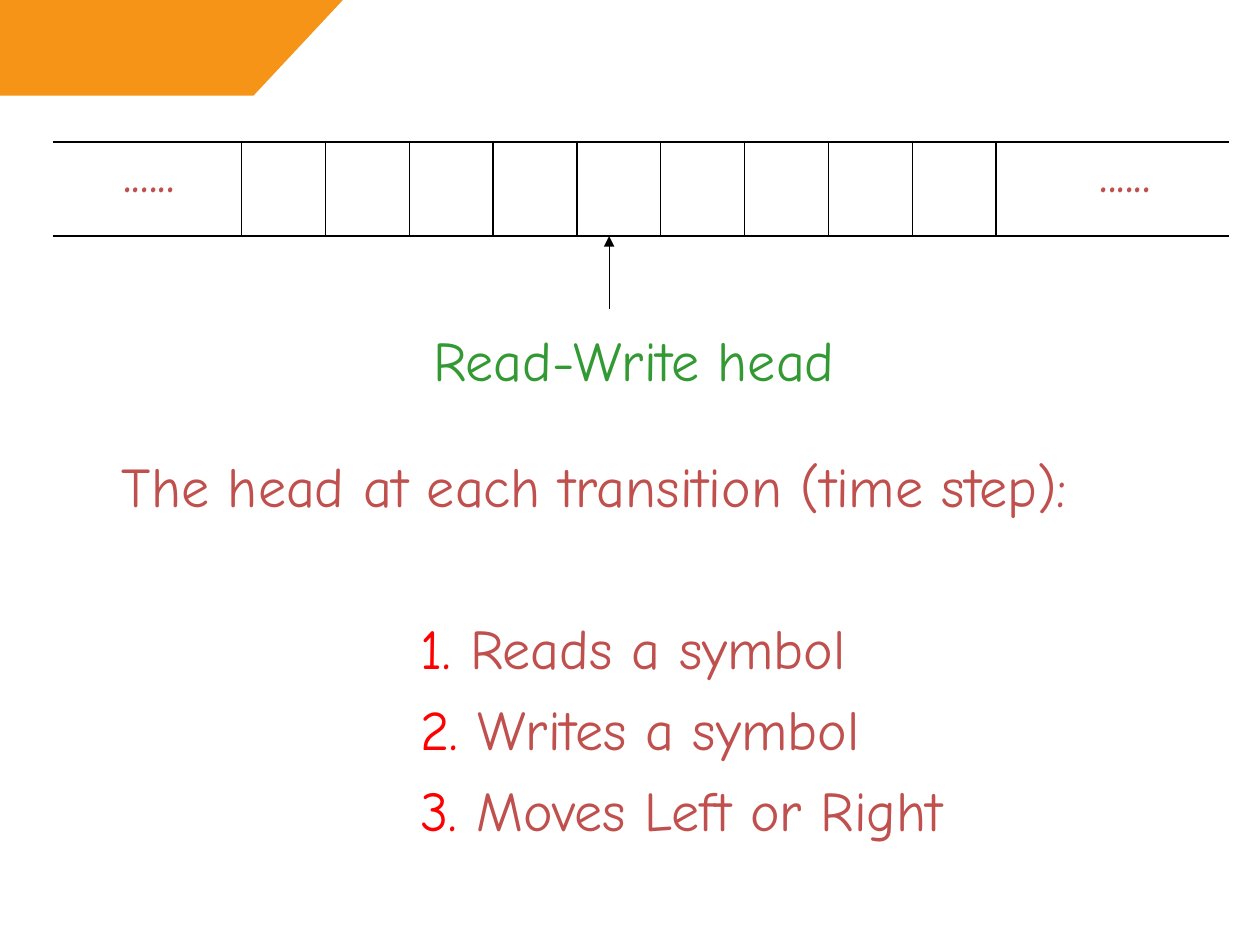
from dataclasses import dataclass

from lxml import etree
from pptx import Presentation
from pptx.dml.color import RGBColor
from pptx.enum.shapes import MSO_CONNECTOR
from pptx.enum.text import MSO_AUTO_SIZE
from pptx.oxml.ns import qn
from pptx.util import Cm, Pt

STRAIGHT = MSO_CONNECTOR.STRAIGHT
FIT_SHAPE = MSO_AUTO_SIZE.SHAPE_TO_FIT_TEXT

BLACK = RGBColor(0x00, 0x00, 0x00)
ORANGE = RGBColor(0xF6, 0x94, 0x18)
BRICK = RGBColor(0xC0, 0x50, 0x4D)
GREEN = RGBColor(0x33, 0x99, 0x33)
RED = RGBColor(0xFF, 0x00, 0x00)
FONT = "Comic Neue"

# Tape geometry, in centimetres
TAPE_LEFT, TAPE_RIGHT = 1.06, 24.77
TAPE_TOP, TAPE_BOTTOM = 2.86, 4.76
FIRST_DIVIDER, CELL_WIDTH, DIVIDERS = 4.87, 1.69, 10
HEAD_X, HEAD_START = 12.28, 6.22

CORNER = [(-0.08, 1.93), (-0.06, -0.05), (6.96, -0.05), (5.11, 1.93)]


@dataclass
class Span:
    text: str
    color: RGBColor


@dataclass
class Para:
    spans: list[Span]
    space_before: float = 0
    indent: float = 0


@dataclass
class Label:
    left: float
    top: float
    width: float
    height: float
    paras: list[Para]


def step(number: int, action: str, space_before: float = 8) -> Para:
    """Numbered step, indented under the heading."""
    spans = [Span(f"{number}.", RED), Span(f" {action}", BRICK)]
    return Para(spans, space_before, 6.02)


def dots(left: float) -> Label:
    """Ellipsis marking that the tape goes on."""
    return Label(left, 2.62, 1.55, 1.63, [Para([Span("......", BRICK)])])


LABELS = [
    dots(21.92),
    dots(2.24),
    Label(8.48, 6.43, 8.69, 1.63, [Para([Span("Read-Write head", GREEN)])]),
    Label(2.21, 8.97, 19.63, 8.15, [
        Para([Span("The head at each transition (time step):", BRICK)]),
        step(1, "Reads a symbol", space_before=54.3),
        step(2, "Writes a symbol"),
        step(3, "Moves Left or Right"),
    ]),
]


def draw_corner(page) -> None:
    points = [(Cm(x), Cm(y)) for x, y in CORNER]
    builder = page.shapes.build_freeform(*points[0])
    builder.add_line_segments(points[1:], close=True)
    corner = builder.convert_to_shape()
    corner.shadow.inherit = False
    corner.fill.solid()
    corner.fill.fore_color.rgb = ORANGE
    corner.line.fill.background()


def draw_line(page, x1: float, y1: float, x2: float, y2: float,
              arrow: bool = False) -> None:
    line = page.shapes.add_connector(STRAIGHT, Cm(x1), Cm(y1), Cm(x2), Cm(y2))
    line.line.color.rgb = BLACK
    line.line.width = Pt(0.75)
    if arrow:
        outline = line.line._get_or_add_ln()
        etree.SubElement(outline, qn("a:tailEnd"), type="triangle")
    etree.SubElement(line._element.spPr, qn("a:effectLst"))


def draw_tape(page) -> None:
    for y in (TAPE_TOP, TAPE_BOTTOM):
        draw_line(page, TAPE_LEFT, y, TAPE_RIGHT, y)
    for index in range(DIVIDERS):
        x = FIRST_DIVIDER + index * CELL_WIDTH
        draw_line(page, x, TAPE_TOP, x, TAPE_BOTTOM)
    draw_line(page, HEAD_X, HEAD_START, HEAD_X, TAPE_BOTTOM, arrow=True)


def draw_label(page, label: Label) -> None:
    box = page.shapes.add_textbox(Cm(label.left), Cm(label.top),
                                  Cm(label.width), Cm(label.height))
    frame = box.text_frame
    frame.word_wrap = False
    frame.auto_size = FIT_SHAPE
    for index, para in enumerate(label.paras):
        paragraph = frame.add_paragraph() if index else frame.paragraphs[0]
        paragraph.space_before = Pt(para.space_before)
        if para.indent:
            properties = paragraph._p.get_or_add_pPr()
            properties.set("marL", str(Cm(para.indent)))
            properties.set("indent", "0")
        for span in para.spans:
            run = paragraph.add_run()
            run.text = span.text
            run.font.name = FONT
            run.font.size = Pt(32)
            run.font.color.rgb = span.color


def main() -> None:
    deck = Presentation()
    deck.slide_width, deck.slide_height = Cm(25.4), Cm(19.05)
    page = deck.slides.add_slide(deck.slide_layouts[6])
    draw_corner(page)
    draw_tape(page)
    for label in LABELS:
        draw_label(page, label)
    deck.save("out.pptx")


if __name__ == "__main__":
    main()
